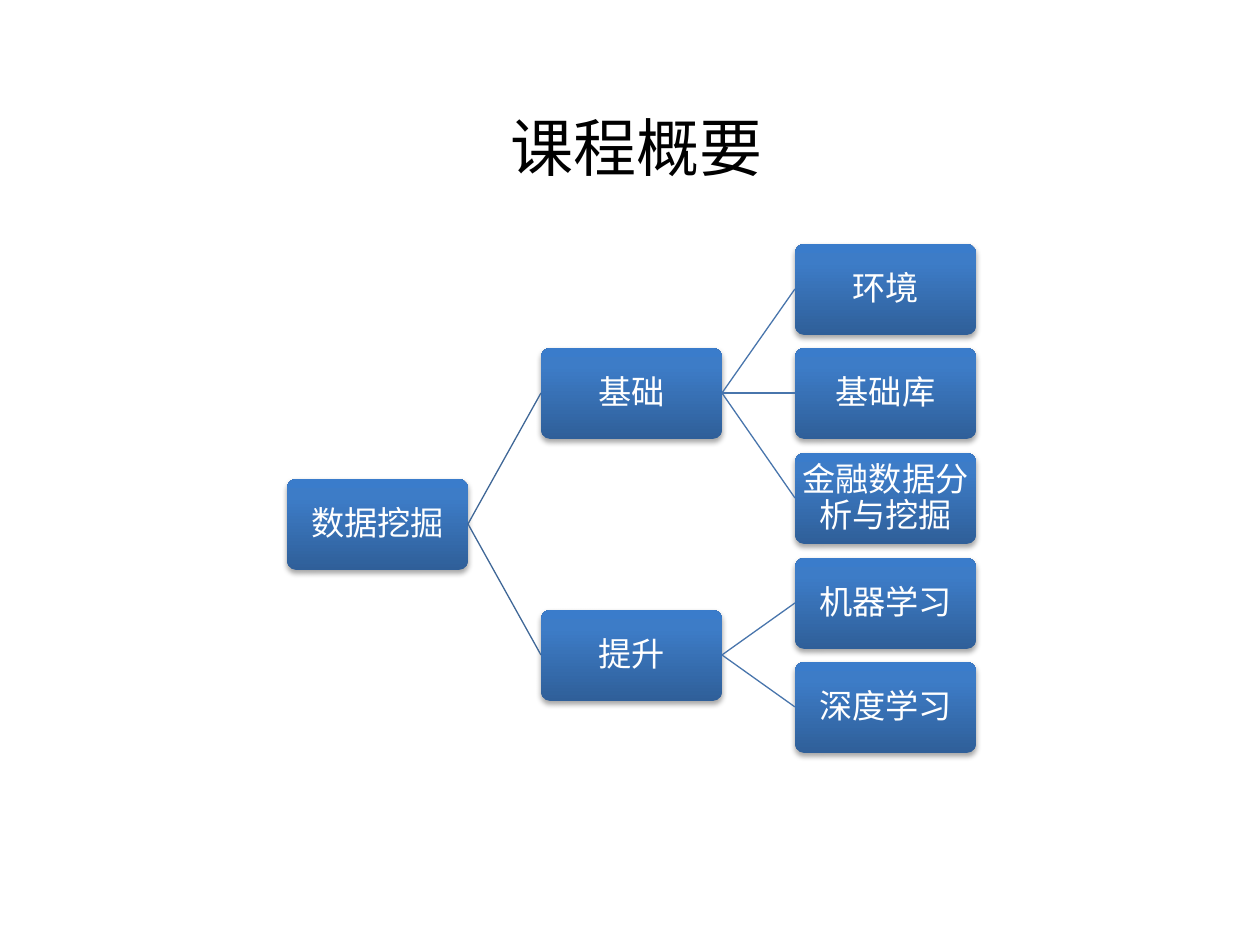
from copy import deepcopy
from dataclasses import dataclass

from lxml.etree import SubElement
from pptx import Presentation
from pptx.dml.color import RGBColor as RGB
from pptx.enum.shapes import MSO_CONNECTOR as CONNECTOR, MSO_SHAPE as SHAPE
from pptx.enum.text import MSO_ANCHOR as ANCHOR, MSO_AUTO_SIZE as AUTO_SIZE, PP_ALIGN as ALIGN
from pptx.oxml.ns import qn
from pptx.util import Emu, Inches, Pt

SCALE = 914400 // 126  # EMU in one px


@dataclass(frozen=True)
class Theme:
    title_font: str = "Noto Sans CJK JP"
    box_font: str = "Calibri"
    title_size: int = 36
    box_size: int = 19
    title_color: str = "000000"
    box_color: str = "FFFFFF"
    gradient: tuple = ((0, "2F5F99"), (0.8, "3D7CC7"), (1, "3A7CCB"))
    branch_colors: tuple = ("3F6797", "4875AC")  # by level of the parent
    branch_width: float = 0.75


# Course tree: (name, children)
COURSE = ("数据挖掘", [
    ("基础", [("环境", []), ("基础库", []), ("金融数据分析与挖掘", [])]),
    ("提升", [("机器学习", []), ("深度学习", [])]),
])

# Tree grid, in px
BOX_WIDTH, BOX_HEIGHT = 181, 91
FIRST_LEFT, COLUMN_PITCH = 287, 254
FIRST_TOP, LAST_TOP, LAST_ROW = 244, 662, 4


def px(value):
    return Emu(value * SCALE)


def apply(target, values):
    for name, value in values.items():
        setattr(target, name, value)


class CourseSlide:
    def __init__(self, slide, theme):
        self.slide = slide
        self.theme = theme

    def label(self, frame, text, anchor, inset, color, font):
        margins = ("margin_left", "margin_right", "margin_top", "margin_bottom")
        apply(frame, {"text": text, "word_wrap": True, "auto_size": AUTO_SIZE.NONE,
                      "vertical_anchor": anchor, **dict.fromkeys(margins, px(inset))})
        paragraph = frame.paragraphs[0]
        paragraph.alignment = ALIGN.CENTER
        run = paragraph.runs[0]
        apply(run.font, font)
        run.font.color.rgb = RGB.from_string(color)
        return paragraph

    def title(self, text, left, top, width, height):
        theme = self.theme
        shape = self.slide.shapes.title
        apply(shape, {"left": px(left), "top": px(top), "width": px(width), "height": px(height)})
        paragraph = self.label(shape.text_frame, text, ANCHOR.BOTTOM, 6, theme.title_color,
                               {"name": theme.title_font, "size": Pt(theme.title_size)})
        properties = paragraph.runs[0].font._element
        SubElement(properties, qn("a:ea"), typeface=theme.title_font)

    def box(self, text, left, top):
        theme = self.theme
        shape = self.slide.shapes.add_shape(
            SHAPE.ROUNDED_RECTANGLE, px(left), px(top), px(BOX_WIDTH), px(BOX_HEIGHT))
        shape.adjustments[0] = 0.1
        self.gradient(shape)
        shape.line.fill.background()
        self.shadow(shape)
        paragraph = self.label(shape.text_frame, text, ANCHOR.MIDDLE, 1, theme.box_color,
                               {"name": theme.box_font, "size": Pt(theme.box_size)})
        paragraph.line_spacing = 0.9

    def gradient(self, shape):
        shape.fill.gradient()
        shape.fill.gradient_angle = 90
        stop_list = next(shape._element.spPr.iter(qn("a:gsLst")))
        stop_list.append(deepcopy(stop_list[-1]))
        for stop, (position, color) in zip(shape.fill.gradient_stops, self.theme.gradient):
            stop.position = position
            stop.color.rgb = RGB.from_string(color)

    def shadow(self, shape):
        shape.shadow.inherit = False
        effects = shape._element.spPr.find(qn("a:effectLst"))
        outer = SubElement(effects, qn("a:outerShdw"), blurRad=str(Pt(3.1)),
                           dist=str(Pt(1.8)), dir="5400000", rotWithShape="0")
        color = SubElement(outer, qn("a:srgbClr"), val="000000")
        SubElement(color, qn("a:alpha"), val="35000")

    def branch(self, start, end, color):
        line = self.slide.shapes.add_connector(CONNECTOR.STRAIGHT, *map(px, start + end))
        line.line.color.rgb = RGB.from_string(color)
        line.line.width = Pt(self.theme.branch_width)
        SubElement(line._element.spPr, qn("a:effectLst"))

    def tree(self, node, rows, level=0):
        """Draw a node midway between its first and last child; return its row."""
        name, children = node
        if children:
            child_rows = [self.tree(child, rows, level + 1) for child in children]
            row = (child_rows[0] + child_rows[-1]) / 2
        else:
            child_rows, row = [], next(rows)

        left = FIRST_LEFT + level * COLUMN_PITCH
        self.box(name, left, row_top(row))
        for child_row in child_rows:
            self.branch((left + BOX_WIDTH, row_middle(row)),
                        (left + COLUMN_PITCH, row_middle(child_row)),
                        self.theme.branch_colors[level])
        return row


def row_top(row):
    return round(FIRST_TOP + (LAST_TOP - FIRST_TOP) * row / LAST_ROW)


def row_middle(row):
    return row_top(row) + BOX_HEIGHT // 2


def main():
    presentation = Presentation()
    apply(presentation, {"slide_width": Inches(10), "slide_height": Inches(7.5)})
    title_only = presentation.slide_layouts[5]
    course = CourseSlide(presentation.slides.add_slide(title_only), Theme())

    # Title
    course.title("课程概要", 77, 92, 1120, 98)

    # Course tree, leaves on rows from top to bottom
    course.tree(COURSE, iter(range(LAST_ROW + 1)))

    presentation.save("out.pptx")


if __name__ == "__main__":
    main()
